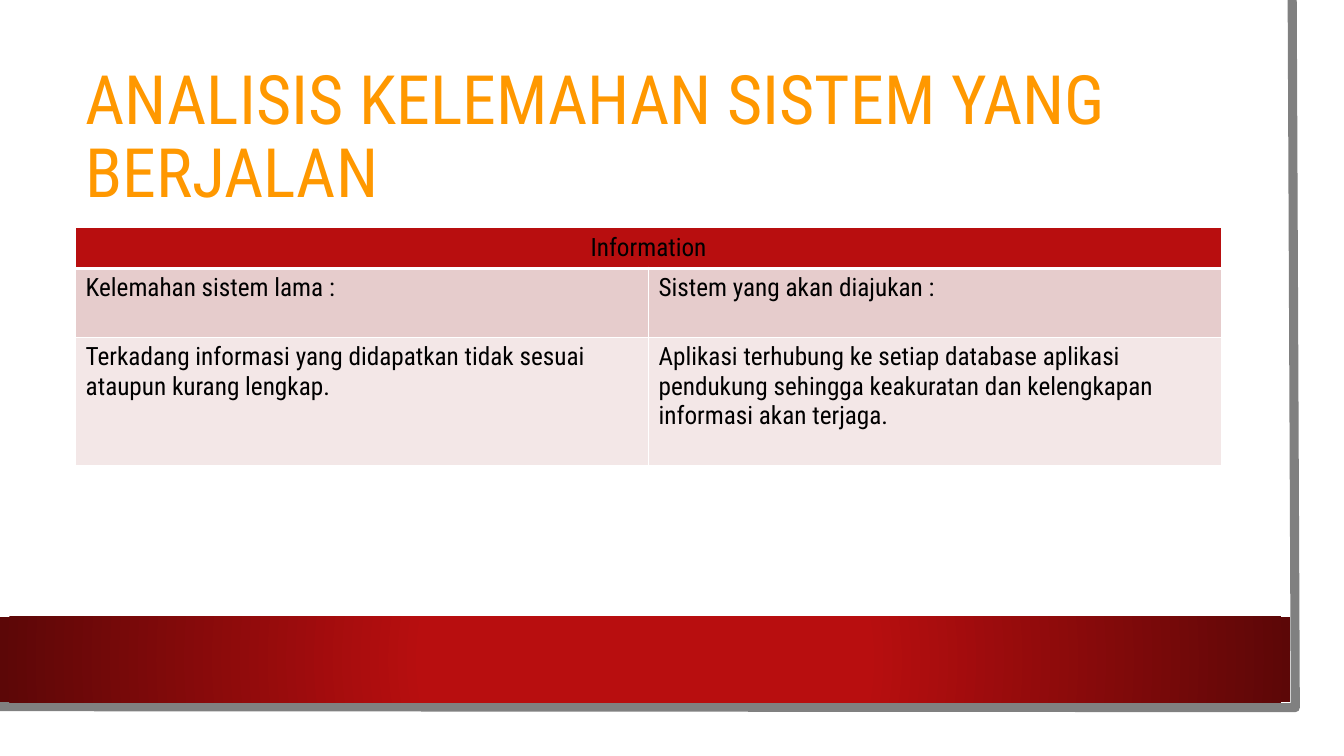
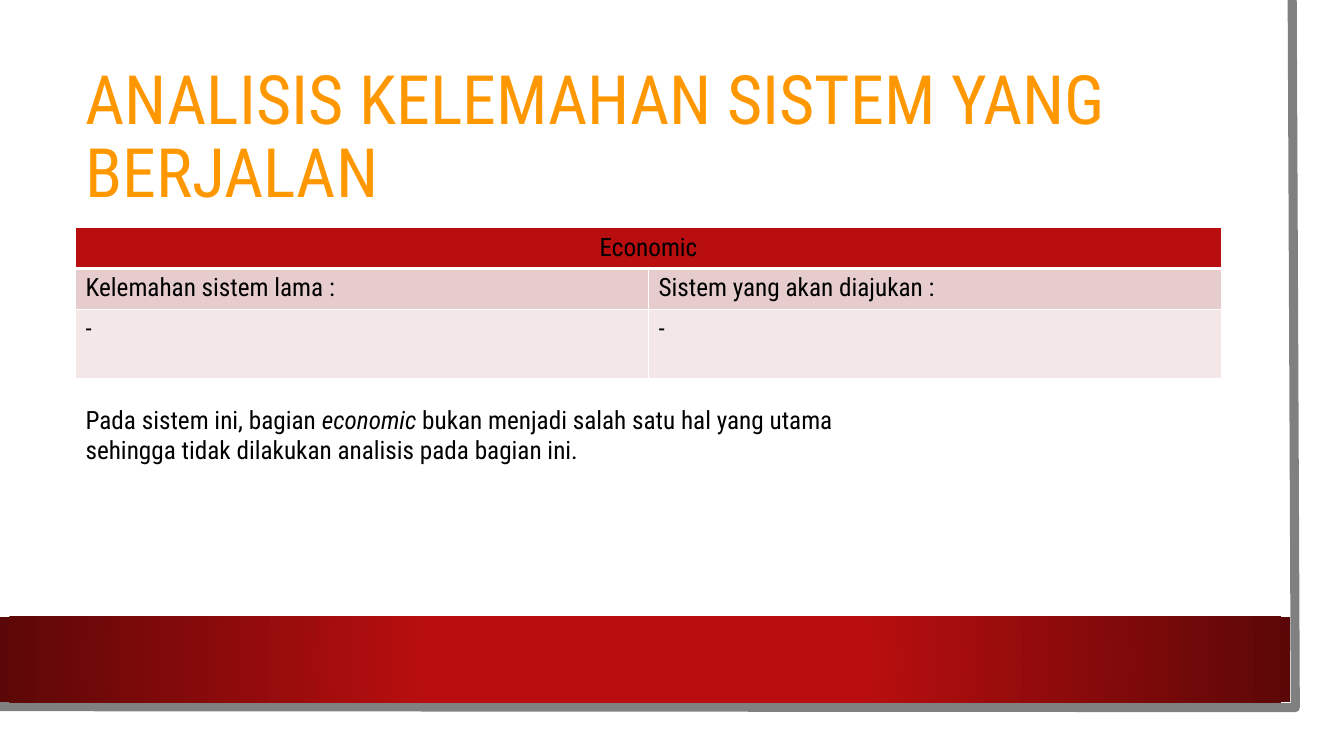
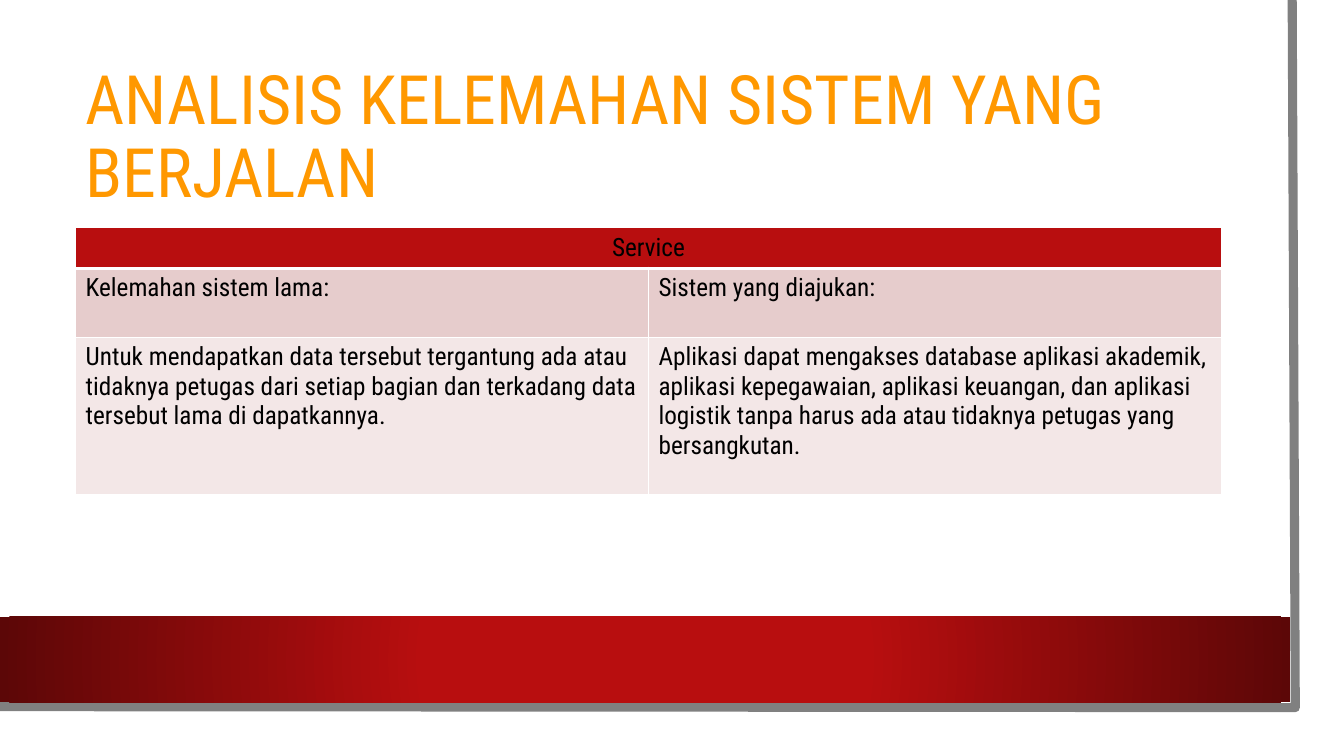
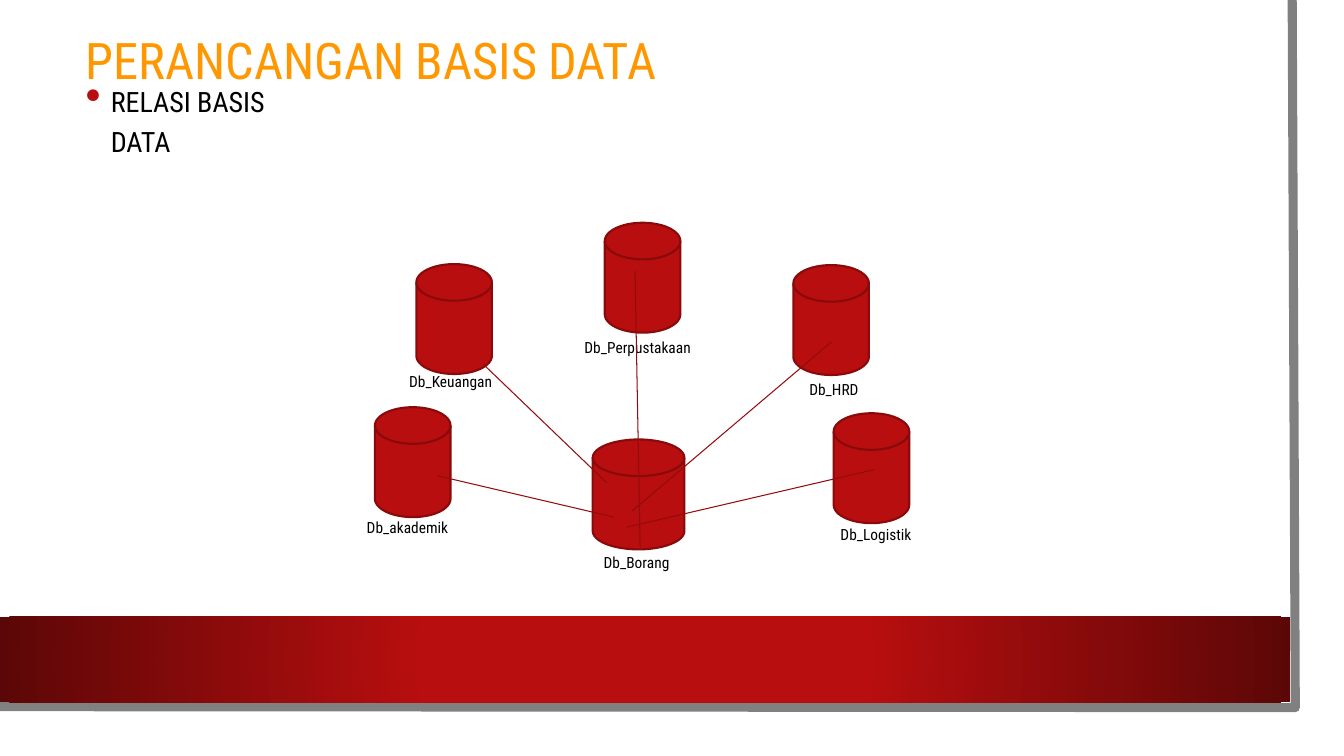
"""Build four slides on system weaknesses and database design."""
from lxml import etree
from pptx import Presentation
from pptx.dml.color import RGBColor
from pptx.enum.shapes import MSO_CONNECTOR, MSO_SHAPE
from pptx.enum.text import MSO_ANCHOR, PP_ALIGN
from pptx.oxml import parse_xml
from pptx.oxml.ns import nsdecls, qn
from pptx.util import Inches, Pt

RECT = MSO_SHAPE.RECTANGLE
DRUM = MSO_SHAPE.FLOWCHART_DIRECT_ACCESS_STORAGE
STRAIGHT = MSO_CONNECTOR.STRAIGHT
TOP, MIDDLE = MSO_ANCHOR.TOP, MSO_ANCHOR.MIDDLE
LEFT, CENTER = PP_ALIGN.LEFT, PP_ALIGN.CENTER

FONT = "Roboto Condensed"
WHITE = RGBColor(0xFF, 0xFF, 0xFF)
BLACK = RGBColor(0x00, 0x00, 0x00)
GREY = RGBColor(0x80, 0x80, 0x80)
ORANGE = RGBColor(0xFF, 0x98, 0x00)
RED = RGBColor(0xB8, 0x0E, 0x0F)
DARK_RED = RGBColor(0x5C, 0x07, 0x07)
OUTLINE = RGBColor(0x88, 0x0A, 0x0B)
LINK = RGBColor(0x93, 0x0B, 0x0C)
ROW_FILLS = (RED, RGBColor(0xE6, 0xCC, 0xCC), RGBColor(0xF3, 0xE7, 0xE7))

MARGIN, CONTENT_W = 5.63, 85.25
DRUM_LENGTH, DRUM_WIDTH, HUB_WIDTH = 8.18, 10, 12.13
LABEL_H = 4.2


class Deck:
    """Hold the style and current slide; lengths are percentages of the slide."""

    def __init__(self):
        """Start a widescreen deck whose blank layout carries the frame."""
        self.prs = Presentation()
        self.prs.slide_width, self.prs.slide_height = Inches(13.33), Inches(7.5)
        self.layout = self.prs.slide_layouts[6]
        self.new_slide()
        self.frame()

    def new_slide(self):
        """Add a blank slide and make it current."""
        self.s = self.prs.slides.add_slide(self.layout)

    def x(self, share):
        """Convert a percentage of the width."""
        return round(self.prs.slide_width * share / 100)

    def y(self, share):
        """Convert a percentage of the height."""
        return round(self.prs.slide_height * share / 100)

    def box(self, left, top, width, height):
        """Convert a rectangle of percentages."""
        return self.x(left), self.y(top), self.x(width), self.y(height)

    def frame(self):
        """Draw sheet, edge and band, and move them to the layout."""
        sheet = self.s.shapes.add_shape(RECT, *self.box(0, 0, 98.25, 96.93))
        sheet.fill.solid()
        sheet.fill.fore_color.rgb = WHITE
        sheet.line.fill.background()

        corners = [(self.x(a), self.y(b)) for a, b in
                   ((96.15, 0), (96.38, 93.6), (-0.23, 93.47))]
        builder = self.s.shapes.build_freeform(*corners[0])
        builder.add_line_segments(corners[1:], close=False)
        edge = builder.convert_to_shape()
        edge.fill.background()
        edge.line.color.rgb, edge.line.width = GREY, Pt(6.5)

        band = self.s.shapes.add_shape(RECT, *self.box(0, 81.6, 96, 11.33))
        band.element.spPr.insert(2, parse_xml(
            f'<a:gradFill {nsdecls("a")}><a:gsLst>'
            f'<a:gs pos="34000"><a:srgbClr val="{RED}"/></a:gs>'
            f'<a:gs pos="100000"><a:srgbClr val="{DARK_RED}"/></a:gs></a:gsLst>'
            '<a:path path="circle"><a:fillToRect l="50000" t="50000" '
            'r="50000" b="50000"/></a:path></a:gradFill>'))
        band.line.fill.background()
        for sp in (sheet, edge, band):
            sp.shadow.inherit = False
            self.layout.shapes.element.append(sp.element)

    def style(self, p, size, color=BLACK, align=LEFT, spacing=None):
        """Format a paragraph and its runs."""
        p.alignment = align
        if spacing:
            p.line_spacing = spacing
        for r in p.runs:
            r.font.name, r.font.size, r.font.color.rgb = FONT, Pt(size), color

    def text(self, box, text, size, color=BLACK, spacing=None, anchor=TOP):
        """Add a one-paragraph text box and return the paragraph."""
        tf = self.s.shapes.add_textbox(*self.box(*box)).text_frame
        tf.word_wrap, tf.vertical_anchor = True, anchor
        p = tf.paragraphs[0]
        p.text = text
        self.style(p, size, color, spacing=spacing)
        return p

    def title(self, text, size=48.6, top=10, height=16.8):
        """Add the slide title."""
        self.text((MARGIN, top, CONTENT_W, height), text, size, ORANGE, 0.9, MIDDLE)

    def bullet(self, box, text):
        """Add a bulleted line."""
        p = self.text(box, text, 20, spacing=1.2, anchor=MIDDLE)
        p.space_before = Pt(10)
        pPr = p._p.get_or_add_pPr()
        pPr.set("marL", str(Inches(0.25)))
        pPr.set("indent", str(-Inches(0.25)))
        clr = etree.SubElement(pPr, qn("a:buClr"))
        etree.SubElement(clr, qn("a:srgbClr"), val=str(RED))
        etree.SubElement(pPr, qn("a:buSzPct"), val="160000")
        etree.SubElement(pPr, qn("a:buChar"), char="•")

    def note(self, box, lines):
        """Add paragraphs made of (text, italic) runs."""
        tf = self.s.shapes.add_textbox(*self.box(*box)).text_frame
        tf.word_wrap = True
        for i, line in enumerate(lines):
            p = tf.add_paragraph() if i else tf.paragraphs[0]
            for text, italic in line:
                r = p.add_run()
                r.text, r.font.italic = text, italic
            self.style(p, 18)

    def borders(self, cell, row):
        """Give a cell white borders, heavier under the heading."""
        tcPr = cell._tc.get_or_add_tcPr()
        for i, side in enumerate(("lnL", "lnR", "lnT", "lnB")):
            heavy = (side, row) in (("lnB", 0), ("lnT", 1))
            tcPr.insert(i, parse_xml(
                f'<a:{side} {nsdecls("a")} w="{Pt(3 if heavy else 1)}"><a:solidFill>'
                f'<a:srgbClr val="{WHITE}"/></a:solidFill></a:{side}>'))

    def table(self, heading, rows, heights):
        """Add a two-column table under a merged heading."""
        box = self.box(MARGIN, 30.13, CONTENT_W, sum(heights))
        table = self.s.shapes.add_table(len(heights), 2, *box).table
        table.horz_banding = False
        for i, (texts, height) in enumerate(zip([(heading, ""), *rows], heights)):
            table.rows[i].height = self.y(height)
            for j, text in enumerate(texts):
                cell = table.cell(i, j)
                cell.text = text
                cell.fill.solid()
                cell.fill.fore_color.rgb = ROW_FILLS[i]
                self.borders(cell, i)
                self.style(cell.text_frame.paragraphs[0], 18,
                           align=LEFT if i else CENTER)
        table.cell(0, 0).merge(table.cell(0, 1))

    def drum(self, cx, cy, width=DRUM_WIDTH):
        """Add an upright database drum around its centre."""
        sp = self.s.shapes.add_shape(DRUM, *self.box(
            cx - DRUM_LENGTH / 2, cy - width / 2, DRUM_LENGTH, width))
        sp.rotation = 270
        sp.shadow.inherit = False
        sp.fill.solid()
        sp.fill.fore_color.rgb = RED
        sp.line.color.rgb, sp.line.width = OUTLINE, Pt(1.5)

    def label(self, left, top, width, text):
        """Add a database name."""
        p = self.text((left, top, width, LABEL_H), text, 11, spacing=1.15)
        p.space_after = Pt(10)

    def link(self, x1, y1, x2, y2):
        """Add a thin straight line."""
        c = self.s.shapes.add_connector(
            STRAIGHT, self.x(x1), self.y(y1), self.x(x2), self.y(y2))
        c.line.color.rgb, c.line.width = LINK, Pt(0.75)
        etree.SubElement(c.element.spPr, qn("a:effectLst"))


ANALYSES = (
    ("Information",
     (("Kelemahan sistem lama :", "Sistem yang akan diajukan :"),
      ("Terkadang informasi yang didapatkan tidak sesuai ataupun kurang lengkap.",
       "Aplikasi terhubung ke setiap database aplikasi pendukung sehingga "
       "keakuratan dan kelengkapan informasi akan terjaga.")),
     (5.4, 9.1, 16.9), ()),
    ("Economic",
     (("Kelemahan sistem lama :", "Sistem yang akan diajukan :"), ("-", "-")),
     (5.4, 5.4, 9.1),
     ((("Pada sistem ini, bagian ", False), ("economic ", True),
       ("bukan menjadi salah satu hal yang utama", False)),
      (("sehingga tidak dilakukan analisis pada bagian ini.", False),))),
    ("Service",
     (("Kelemahan sistem lama:", "Sistem yang diajukan:"),
      ("Untuk mendapatkan data tersebut tergantung ada atau tidaknya petugas dari "
       "setiap bagian dan terkadang data tersebut lama di dapatkannya.",
       "Aplikasi dapat mengakses database aplikasi akademik, aplikasi kepegawaian, "
       "aplikasi keuangan, dan aplikasi logistik tanpa harus ada atau tidaknya "
       "petugas yang bersangkutan.")),
     (5.4, 9.1, 20.8), ()),
)

DATABASES = (
    ("Db_Keuangan", (33.79, 42.2), (29.7, 48.27, 8.25), (35.93, 48.13, 45.15, 63.87)),
    ("Db_akademik", (30.71, 61.13), (26.55, 67.47, 10.5), (32.55, 62.93, 45.68, 68.4)),
    ("Db_Perpustakaan", (47.81, 36.73), (42.75, 43.73, 9.9), (47.25, 35.87, 47.63, 72.4)),
    ("Db_HRD", (61.84, 42.33), (59.48, 49.2, 6.15), (61.88, 45.2, 47.03, 67.6)),
    ("Db_Logistik", (64.84, 61.93), (61.8, 68.4, 7.65), (65.03, 62.13, 46.65, 69.73)),
)


def main():
    """Build and save the deck."""
    deck = Deck()
    for i, (heading, rows, heights, lines) in enumerate(ANALYSES):
        if i:
            deck.new_slide()
        deck.title("ANALISIS KELEMAHAN SISTEM YANG BERJALAN")
        deck.table(heading, rows, heights)
        if lines:
            deck.note((MARGIN, 52.8, 60.23, 10), lines)

    deck.new_slide()
    deck.title("PERANCANGAN BASIS DATA", 36, 4.27, 8.27)
    deck.bullet((MARGIN, 12.53, 18, 6.13), "RELASI BASIS DATA")
    deck.drum(47.51, 65.4, HUB_WIDTH)
    deck.label(44.18, 72.13, 7.13, "Db_Borang")
    for name, center, place, link in DATABASES:
        deck.drum(*center)
        deck.label(*place, name)
        deck.link(*link)
    deck.prs.save("out.pptx")


if __name__ == "__main__":
    main()
